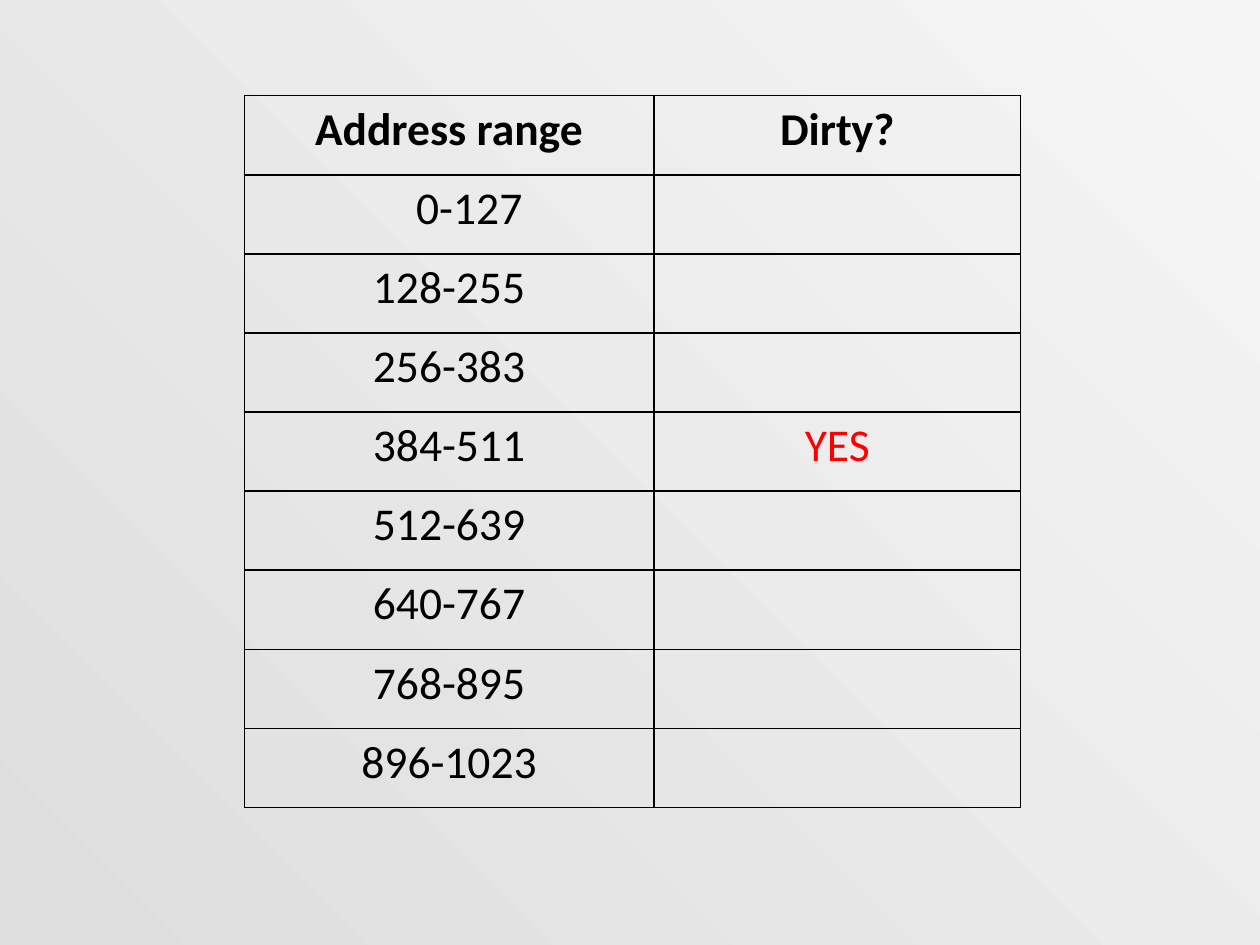
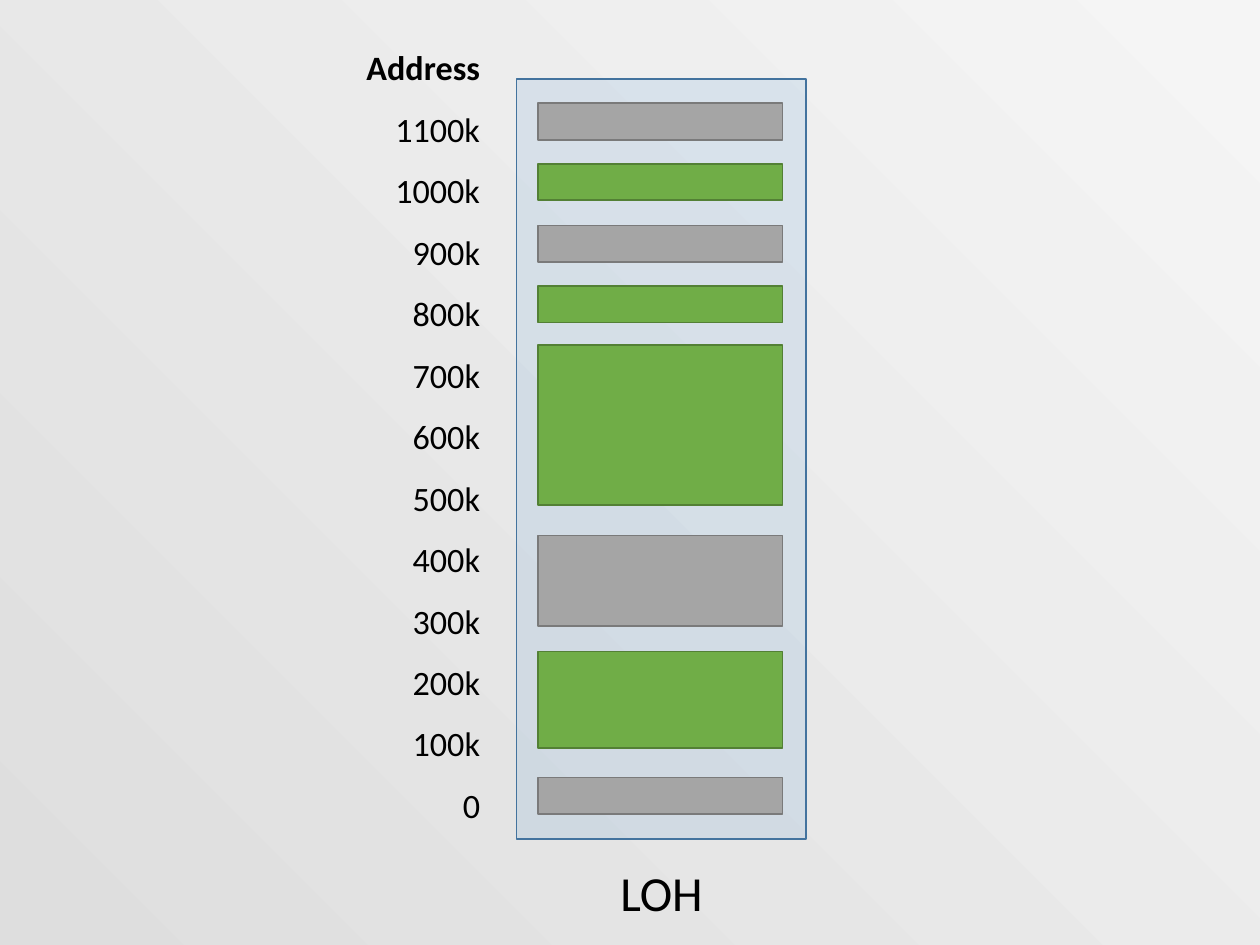
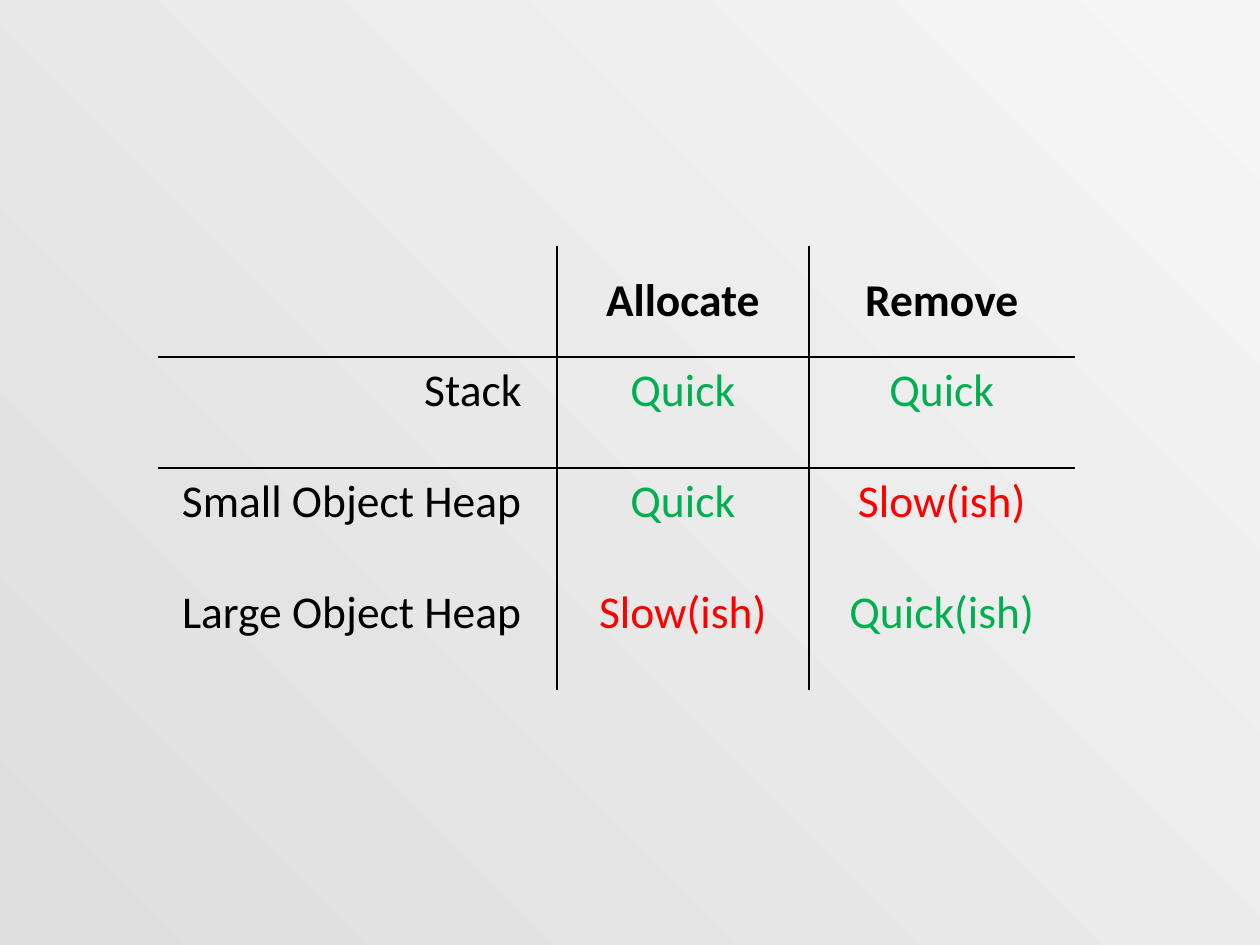
from lxml import etree
from pptx import Presentation
from pptx.dml.color import RGBColor
from pptx.enum.shapes import MSO_SHAPE
from pptx.enum.text import MSO_ANCHOR, MSO_AUTO_SIZE, PP_ALIGN
from pptx.oxml import parse_xml
from pptx.oxml.ns import nsdecls, qn
from pptx.util import Emu, Pt

PX = 9144  # EMU per px, 100 px to the inch
FONT = "Calibri"
NO_STYLE = "{2D5ABB26-0587-4C30-8999-92F81FD0307C}"
COLORS = {
    "black": "000000", "red": "FF0000", "green": "00B050",
    "bg_light": "F5F5F5", "bg_dark": "DEDEDE",
    "heap": "5B9BD5", "heap_line": "43739E",
    "used": "70AD47", "used_line": "538035",
    "free": "A5A5A5", "free_line": "7A7A7A",
}

# Card table
CARD_HEAD = ("Address range", "Dirty?")
CARD_SIZE, CARD_COUNT, DIRTY_CARD = 128, 8, 3
CARD_BOX, CARD_COLS = (194, 76, 616, 565), (325, 291)
FIRST_RANGE_INSET = 42

# Large object heap
HEAP_BOX = (410, 63, 230, 603)
HEAP_NAME, HEAP_NAME_BOX = "LOH", (410, 680, 230, 57)
ADDRESSES = ["Address"] + [f"{n}00k" for n in range(11, 0, -1)] + ["0"]
ADDRESS_BOX = (268, 16, 123, 650)
BLOCK_LEFT, BLOCK_WIDTH = 427, 194
BLOCKS = [  # top, height, state
    (82, 29, "free"), (130, 29, "used"), (179, 29, "free"), (227, 29, "used"),
    (274, 127, "used"), (425, 72, "free"), (517, 77, "used"), (617, 29, "free"),
]

# Speed comparison
SPEED_ROWS = [
    ("", "Allocate", "Remove"),
    ("Stack", "Quick", "Quick"),
    ("Small Object Heap", "Quick", "Slow(ish)"),
    ("Large Object Heap", "Slow(ish)", "Quick(ish)"),
]
SPEED_COLORS = {"Quick": "green", "Quick(ish)": "green", "Slow(ish)": "red"}
SPEED_BOX, SPEED_COLS = (125, 195, 728, 353), (317, 200, 211)
LABEL_INSET = 28


def px(n):
    return Emu(round(n * PX))


def rgb(name):
    return RGBColor.from_string(COLORS[name])


def add_slide(prs):
    s = prs.slides.add_slide(prs.slide_layouts[6])
    fill = s.background.fill
    fill.gradient()
    fill.gradient_angle = 225
    for stop, name in zip(fill.gradient_stops, ("bg_light", "bg_dark")):
        stop.color.rgb = rgb(name)
    return s


def write(p, text, size, color="black", bold=False, align=PP_ALIGN.CENTER):
    p.text = text
    p.alignment = align
    for r in p.runs:
        r.font.name, r.font.size, r.font.bold = FONT, Pt(size), bold
        r.font.color.rgb = rgb(color)


def add_text(s, box, lines, size, align, spacing=None, bold_first=False):
    tf = s.shapes.add_textbox(*map(px, box)).text_frame
    tf.word_wrap = True
    tf.auto_size = MSO_AUTO_SIZE.SHAPE_TO_FIT_TEXT
    for i, line in enumerate(lines):
        p = tf.add_paragraph() if i else tf.paragraphs[0]
        write(p, line, size, bold=bold_first and i == 0, align=align)
        p.line_spacing = spacing


def add_rect(s, box, fill, opacity=None):
    sp = s.shapes.add_shape(MSO_SHAPE.RECTANGLE, *map(px, box))
    sp.shadow.inherit = False
    sp.fill.solid()
    sp.fill.fore_color.rgb = rgb(fill)
    sp.line.color.rgb = rgb(fill + "_line")
    sp.line.width = Pt(1)
    if opacity:
        clr = sp._element.spPr.find(qn("a:solidFill"))[0]
        etree.SubElement(clr, qn("a:alpha"), val=str(opacity * 1000))


def set_borders(cell, sides):
    """Draw black lines on the given sides, a string made of L, R, T and B."""
    tcPr = cell._tc.get_or_add_tcPr()
    for i, side in enumerate(x for x in "LRTB" if x in sides):
        tcPr.insert(i, parse_xml(
            f'<a:ln{side} {nsdecls("a")} w="12700"><a:solidFill>'
            f'<a:srgbClr val="{COLORS["black"]}"/></a:solidFill></a:ln{side}>'))


def add_plain_table(s, box, cols, row_count):
    frame = s.shapes.add_table(row_count, len(cols), *map(px, box))
    table = frame.table
    table.first_row = table.horz_banding = False
    table._tbl.tblPr.find(qn("a:tableStyleId")).text = NO_STYLE
    for col, width in zip(table.columns, cols):
        col.width = px(width)
    for row in table.rows:
        row.height = px(box[3] / row_count)
    for cell in table.iter_cells():
        cell.fill.background()
    return table


def card_slide(prs):
    table = add_plain_table(add_slide(prs), CARD_BOX, CARD_COLS, CARD_COUNT + 1)
    for cell in table.iter_cells():
        set_borders(cell, "LRTB")
    for c, text in enumerate(CARD_HEAD):
        write(table.cell(0, c).text_frame.paragraphs[0], text, 26, bold=True)
    for i in range(CARD_COUNT):
        start = i * CARD_SIZE
        write(table.cell(i + 1, 0).text_frame.paragraphs[0],
              f"{start}-{start + CARD_SIZE - 1}", 26)
    table.cell(1, 0).margin_left = px(FIRST_RANGE_INSET)
    write(table.cell(DIRTY_CARD + 1, 1).text_frame.paragraphs[0], "YES", 26, "red")


def heap_slide(prs):
    s = add_slide(prs)
    add_rect(s, HEAP_BOX, "heap", opacity=15)
    for top, height, state in BLOCKS:
        add_rect(s, (BLOCK_LEFT, top, BLOCK_WIDTH, height), state)
    add_text(s, HEAP_NAME_BOX, [HEAP_NAME], 28, PP_ALIGN.CENTER)
    add_text(s, ADDRESS_BOX, ADDRESSES, 19.5, PP_ALIGN.RIGHT, 1.5, bold_first=True)


def speed_slide(prs):
    table = add_plain_table(add_slide(prs), SPEED_BOX, SPEED_COLS, len(SPEED_ROWS))
    for r, row in enumerate(SPEED_ROWS):
        for c, text in enumerate(row):
            cell = table.cell(r, c)
            align = PP_ALIGN.CENTER if c else PP_ALIGN.RIGHT
            write(cell.text_frame.paragraphs[0], text, 26,
                  SPEED_COLORS.get(text, "black"), r == 0, align)
            if r == 0:
                cell.vertical_anchor = MSO_ANCHOR.MIDDLE
            elif c == 0:
                cell.margin_right = px(LABEL_INSET)
            across = {0: "B", 1: "T"}.get(r, "")
            down = {0: "R", 1: "L"}.get(c, "")
            set_borders(cell, across + down)


def main():
    prs = Presentation()
    prs.slide_width, prs.slide_height = px(1000), px(750)
    card_slide(prs)
    heap_slide(prs)
    speed_slide(prs)
    prs.save("out.pptx")


if __name__ == "__main__":
    main()
